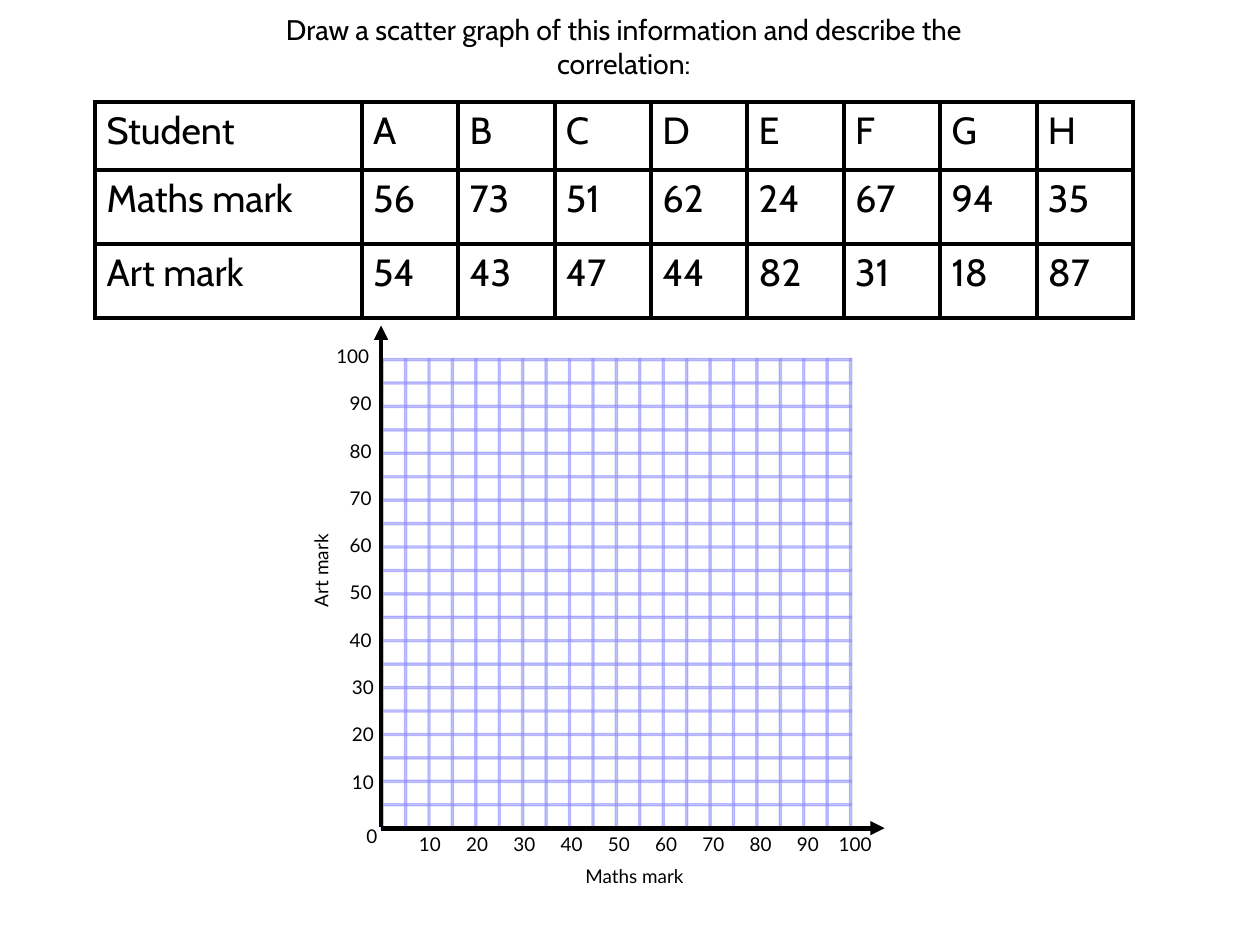
from dataclasses import dataclass

from pptx import Presentation
from pptx.dml.color import RGBColor
from pptx.enum.shapes import MSO_CONNECTOR, MSO_SHAPE
from pptx.enum.text import MSO_AUTO_SIZE, PP_ALIGN
from pptx.oxml.ns import qn
from pptx.oxml.xmlchemy import OxmlElement
from pptx.slide import Slide
from pptx.table import _Cell
from pptx.util import Inches, Pt

STRAIGHT = MSO_CONNECTOR.STRAIGHT
RECTANGLE = MSO_SHAPE.RECTANGLE
CENTER = PP_ALIGN.CENTER
FIT_SHAPE = MSO_AUTO_SIZE.SHAPE_TO_FIT_TEXT

BLACK = "000000"
WHITE = "FFFFFF"
GRID_BLUE = "8C8CFF"
GRID_ALPHA = "51000"

TITLE_FORMAT = {"name": "Cabin", "size": Pt(18)}
TABLE_FORMAT = {"name": "Cabin", "size": Pt(24)}
AXIS_FORMAT = {"name": "Lato", "size": Pt(12)}

GRID_LEFT, GRID_TOP, GRID_SIZE = 3.36, 3.16, 4.13
GRID_CELLS = 20
BAND = 0.02
LABEL_WIDTH, LABEL_HEIGHT = 0.64, 0.3
LABEL_STEP = 3.75 / 9

MARKS = [
    ["Student", "A", "B", "C", "D", "E", "F", "G", "H"],
    ["Maths mark", "56", "73", "51", "62", "24", "67", "94", "35"],
    ["Art mark", "54", "43", "47", "44", "82", "31", "18", "87"],
]
COLUMN_WIDTHS = [2.35] + [0.85] * 8
ROW_HEIGHTS = [0.6, 0.65, 0.65]


@dataclass
class Label:
    text: str
    left: float
    top: float
    width: float = LABEL_WIDTH
    height: float = LABEL_HEIGHT
    rotation: float = 0


@dataclass
class Axis:
    start: tuple[float, float]
    end: tuple[float, float]


def colour(value: str) -> RGBColor:
    return RGBColor.from_string(value)


def format_span(span, formats: dict) -> None:
    for name, value in formats.items():
        setattr(span.font, name, value)
    span.font.color.rgb = colour(BLACK)


def add_label(page: Slide, label: Label, formats: dict) -> None:
    box = page.shapes.add_textbox(
        Inches(label.left), Inches(label.top), Inches(label.width), Inches(label.height)
    )
    box.rotation = label.rotation
    frame = box.text_frame
    frame.word_wrap = True
    frame.auto_size = FIT_SHAPE
    para = frame.paragraphs[0]
    para.alignment = CENTER
    span = para.add_run()
    span.text = label.text
    format_span(span, formats)


def add_borders(cell: _Cell) -> None:
    properties = cell._tc.get_or_add_tcPr()
    for side in ("a:lnL", "a:lnR", "a:lnT", "a:lnB"):
        border = OxmlElement(side)
        border.set("w", str(Pt(3)))
        fill = OxmlElement("a:solidFill")
        ink = OxmlElement("a:srgbClr")
        ink.set("val", BLACK)
        fill.append(ink)
        border.append(fill)
        properties.append(border)


def add_marks_table(page: Slide) -> None:
    table = page.shapes.add_table(
        len(MARKS), len(COLUMN_WIDTHS), Inches(0.84), Inches(0.9),
        Inches(sum(COLUMN_WIDTHS)), Inches(sum(ROW_HEIGHTS)),
    ).table
    table.first_row = False
    table.horz_banding = False
    for column, width in zip(table.columns, COLUMN_WIDTHS):
        column.width = Inches(width)
    for row, height, texts in zip(table.rows, ROW_HEIGHTS, MARKS):
        row.height = Inches(height)
        for cell, text in zip(row.cells, texts):
            add_borders(cell)
            cell.fill.solid()
            cell.fill.fore_color.rgb = colour(WHITE)
            span = cell.text_frame.paragraphs[0].add_run()
            span.text = text
            format_span(span, TABLE_FORMAT)


def add_band(page: Slide, left: float, top: float, width: float, height: float) -> None:
    band = page.shapes.add_shape(
        RECTANGLE, Inches(left), Inches(top), Inches(width), Inches(height)
    )
    band.shadow.inherit = False
    band.fill.solid()
    band.fill.fore_color.rgb = colour(GRID_BLUE)
    band.line.color.rgb = colour(GRID_BLUE)
    band.line.width = Pt(0)
    for ink in band._element.spPr.iter(qn("a:srgbClr")):
        alpha = OxmlElement("a:alpha")
        alpha.set("val", GRID_ALPHA)
        ink.append(alpha)


def add_grid(page: Slide) -> None:
    for index in range(GRID_CELLS + 1):
        offset = index * GRID_SIZE / GRID_CELLS
        add_band(page, GRID_LEFT + offset, GRID_TOP, BAND, GRID_SIZE)
        add_band(page, GRID_LEFT, GRID_TOP + offset, GRID_SIZE + BAND, BAND)


def add_axis(page: Slide, axis: Axis) -> None:
    points = [Inches(value) for value in axis.start + axis.end]
    line = page.shapes.add_connector(STRAIGHT, *points)
    line.line.color.rgb = colour(BLACK)
    line.line.width = Pt(3)
    arrow = OxmlElement("a:tailEnd")
    arrow.set("type", "triangle")
    line.line._get_or_add_ln().append(arrow)
    line._element.spPr.append(OxmlElement("a:effectLst"))


def axis_labels() -> list[Label]:
    labels = [
        Label("0", 2.96, 7.22),
        Label("Maths mark", 4.79, 7.57, width=1.61),
        Label("Art mark", 2.02, 4.88, width=1.62, rotation=270),
    ]
    for index in range(10):
        mark = 10 * (index + 1)
        left = 2.79 if mark == 100 else 2.88 if mark <= 30 else 2.86
        labels.append(Label(str(mark), left, 6.74 - index * LABEL_STEP))
        labels.append(Label(str(mark), 3.47 + index * LABEL_STEP, 7.29))
    return labels


def main() -> None:
    deck = Presentation()
    deck.slide_width = Inches(11.11)
    deck.slide_height = Inches(8.33)
    page = deck.slides.add_slide(deck.slide_layouts[6])

    title = "Draw a scatter graph of this information and describe the correlation:"
    add_label(page, Label(title, 1.86, 0.06, 7.28, 0.71), TITLE_FORMAT)
    add_marks_table(page)
    add_grid(page)
    for axis in (Axis((3.36, 7.29), (3.36, 2.87)), Axis((3.36, 7.3), (7.8, 7.3))):
        add_axis(page, axis)
    for label in axis_labels():
        add_label(page, label, AXIS_FORMAT)

    deck.save("out.pptx")


if __name__ == "__main__":
    main()
